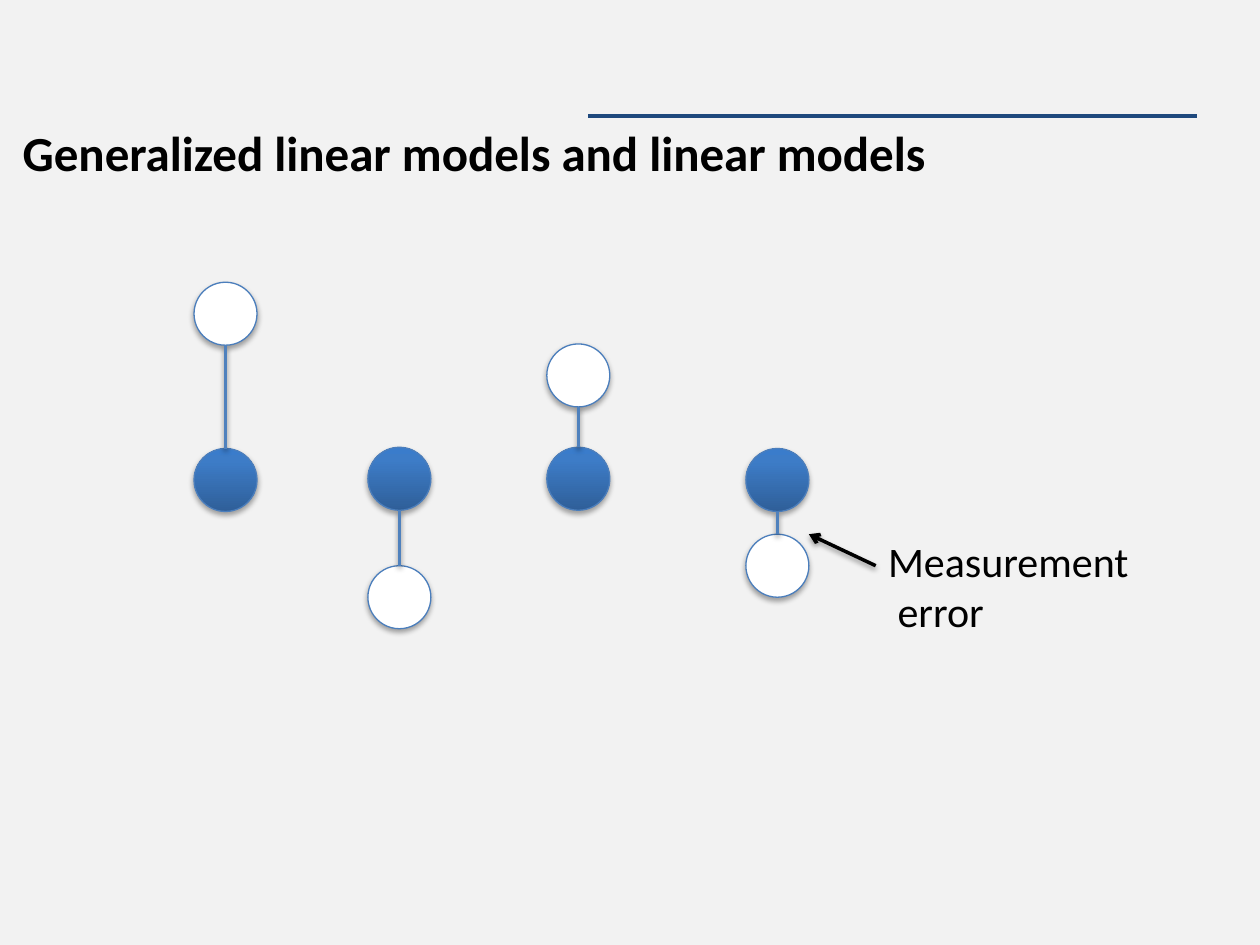
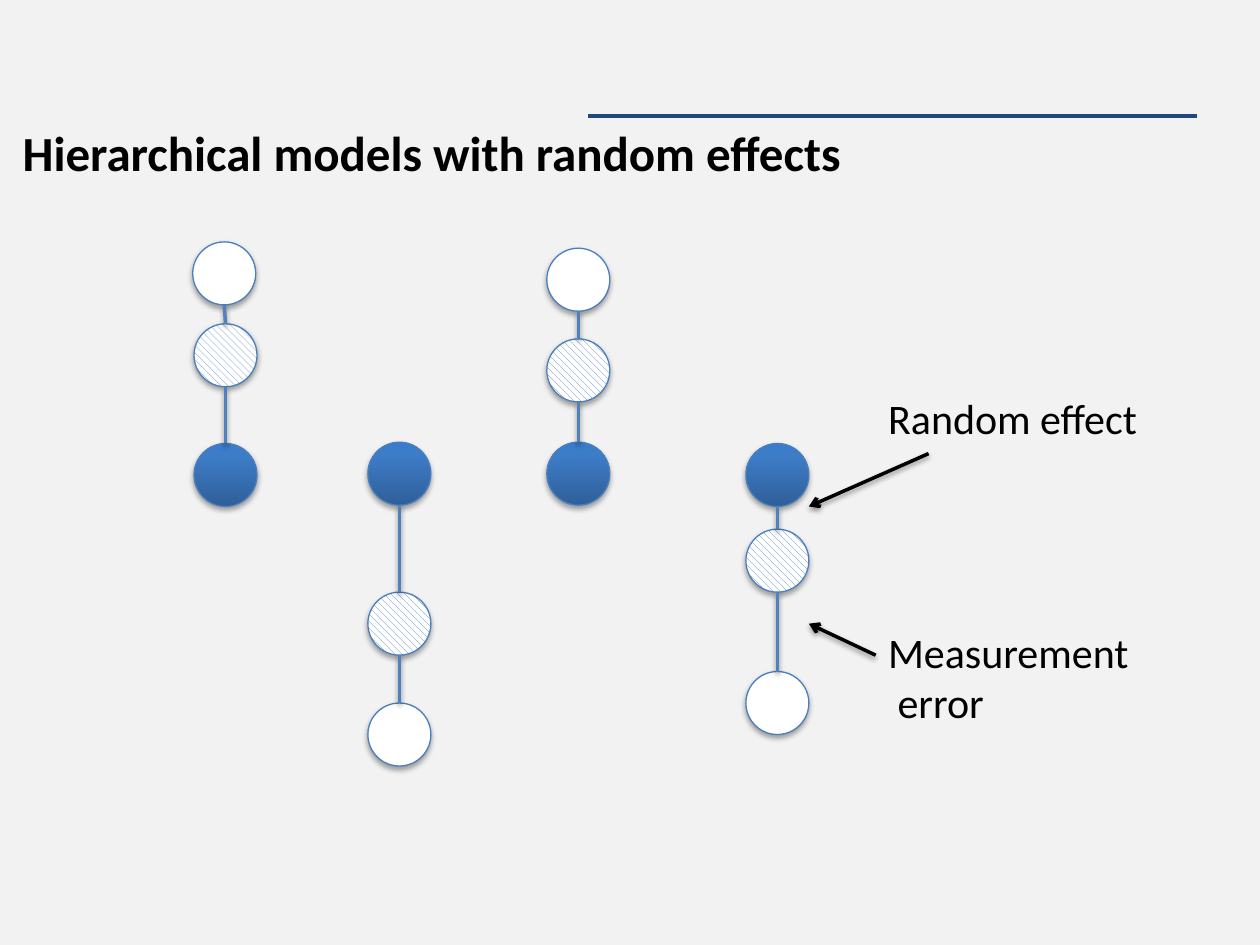
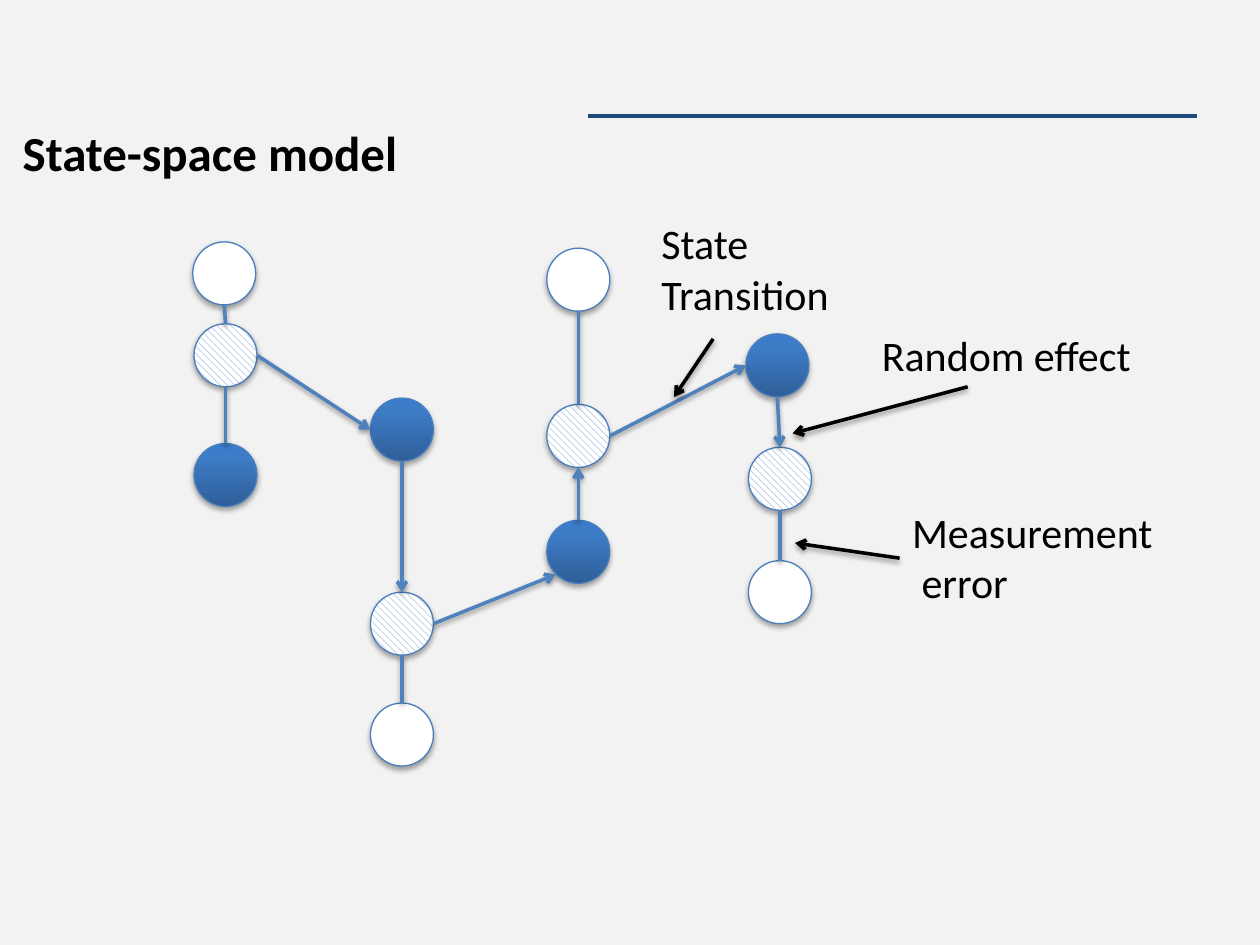
from dataclasses import dataclass
from enum import Enum
from itertools import pairwise

from lxml.etree import SubElement
from pptx import Presentation
from pptx.dml.color import RGBColor
from pptx.enum.dml import MSO_PATTERN
from pptx.enum.shapes import MSO_CONNECTOR, MSO_SHAPE
from pptx.enum.text import MSO_ANCHOR, MSO_AUTO_SIZE, PP_ALIGN
from pptx.oxml.ns import qn
from pptx.shapes.connector import Connector
from pptx.slide import Slide
from pptx.util import Inches, Pt

FONT = "Calibri"
COLORS = {
    "background": "F2F2F2",
    "rule": "1F497D",
    "text": "000000",
    "link": "4F81BD",
    "outline": "4B7EBC",
    "white": "FFFFFF",
    "shadow": "000000",
}
GRADIENT = ((0, "2F5F99"), (80, "3D7CC7"), (100, "3A7CCB"))
DIAMETER = 0.5
RADIUS = DIAMETER / 2

Point = tuple[float, float]


class Kind(Enum):
    PREDICTED = 1
    LATENT = 2
    OBSERVED = 3


class Flow(Enum):
    NONE = 0
    DOWN = 1
    UP = 2


@dataclass(frozen=True)
class Node:
    """A circle; flow is the direction of its link to the node below."""
    kind: Kind
    x: float
    y: float
    flow: Flow = Flow.NONE

    @property
    def top(self) -> Point:
        return self.x + RADIUS, self.y

    @property
    def bottom(self) -> Point:
        return self.x + RADIUS, self.y + DIAMETER

    @property
    def left(self) -> Point:
        return self.x, self.y + RADIUS

    @property
    def right(self) -> Point:
        return self.x + DIAMETER, self.y + RADIUS


@dataclass(frozen=True)
class Label:
    lines: tuple[str, ...]
    x: float
    y: float
    width: float
    start: Point
    end: Point

    @property
    def height(self) -> float:
        return 0.1 + 0.4 * len(self.lines)


@dataclass(frozen=True)
class Diagram:
    title: str
    columns: tuple[tuple[Node, ...], ...]
    labels: tuple[Label, ...]
    transitions: tuple[tuple[Point, Point], ...] = ()


def color(name: str) -> RGBColor:
    return RGBColor.from_string(COLORS[name])


def add_shadow(shape, alpha: int, distance: float) -> None:
    effects = SubElement(shape.element.spPr, qn("a:effectLst"))
    shadow = SubElement(effects, qn("a:outerShdw"), blurRad=str(Pt(3.1)),
                        dist=str(Pt(distance)), dir="5400000", rotWithShape="0")
    tone = SubElement(shadow, qn("a:srgbClr"), val=COLORS["shadow"])
    SubElement(tone, qn("a:alpha"), val=str(alpha * 1000))


def add_line(slide: Slide, start: Point, end: Point, name: str,
             arrow: bool = False, shadow: bool = True) -> Connector:
    ends = (Inches(v) for v in (*start, *end))
    line = slide.shapes.add_connector(MSO_CONNECTOR.STRAIGHT, *ends)
    line.line.color.rgb = color(name)
    line.line.width = Pt(2)
    if arrow:
        SubElement(line.element.spPr.find(qn("a:ln")), qn("a:tailEnd"), type="arrow")
    if shadow:
        add_shadow(line, 38, 1.6)
    else:
        SubElement(line.element.spPr, qn("a:effectLst"))
    return line


def fill_gradient(sp) -> None:
    """Shade from dark at the bottom to light at the top, with three stops."""
    sp.fill.gradient()
    sp.fill.gradient_angle = 90
    stops = sp.element.spPr.find(qn("a:gradFill")).find(qn("a:gsLst"))
    stops.clear()
    for position, value in GRADIENT:
        stop = SubElement(stops, qn("a:gs"), pos=str(position * 1000))
        SubElement(stop, qn("a:srgbClr"), val=value)


def add_node(slide: Slide, node: Node) -> None:
    sp = slide.shapes.add_shape(MSO_SHAPE.OVAL, Inches(node.x), Inches(node.y),
                                Inches(DIAMETER), Inches(DIAMETER))
    if node.kind is Kind.PREDICTED:
        fill_gradient(sp)
    elif node.kind is Kind.LATENT:
        sp.fill.patterned()
        sp.fill.pattern = MSO_PATTERN.WIDE_DOWNWARD_DIAGONAL
        sp.fill.fore_color.rgb = color("link")
        sp.fill.back_color.rgb = color("white")
    else:
        sp.fill.solid()
        sp.fill.fore_color.rgb = color("white")
    sp.line.color.rgb = color("outline")
    sp.line.width = Pt(0.75)
    add_shadow(sp, 35, 1.8)


def add_run(p, text: str, size: int, bold: bool = False) -> None:
    r = p.add_run()
    r.text = text
    r.font.name = FONT
    r.font.size = Pt(size)
    r.font.bold = bold
    r.font.color.rgb = color("text")


def add_label(slide: Slide, label: Label) -> None:
    box = slide.shapes.add_textbox(Inches(label.x), Inches(label.y),
                                   Inches(label.width), Inches(label.height))
    tf = box.text_frame
    tf.word_wrap = False
    tf.auto_size = MSO_AUTO_SIZE.SHAPE_TO_FIT_TEXT
    for i, text in enumerate(label.lines):
        p = tf.add_paragraph() if i else tf.paragraphs[0]
        add_run(p, text, 24)
    add_line(slide, label.start, label.end, "text", arrow=True)


def set_title(slide: Slide, text: str) -> None:
    title = slide.shapes.title
    title.left, title.top = Inches(0.08), Inches(0.92)
    title.width, title.height = Inches(9.83), Inches(6.5)
    tf = title.text_frame
    tf.vertical_anchor = MSO_ANCHOR.TOP
    p = tf.paragraphs[0]
    p.alignment = PP_ALIGN.LEFT
    p.space_before = p.space_after = Pt(6)
    add_run(p, text, 28, bold=True)


def add_diagram(slide: Slide, diagram: Diagram) -> None:
    set_title(slide, diagram.title)
    for column in diagram.columns:
        for node in column:
            add_node(slide, node)
    for column in diagram.columns:
        for upper, lower in pairwise(column):
            start, end = upper.bottom, lower.top
            if upper.flow is Flow.UP:
                start, end = end, start
            add_line(slide, start, end, "link", arrow=upper.flow is not Flow.NONE)
    for start, end in diagram.transitions:
        add_line(slide, start, end, "link", arrow=True)
    for label in diagram.labels:
        add_label(slide, label)


def measurement_error(x: float, y: float, start: Point, end: Point) -> Label:
    return Label(("Measurement", " error"), x, y, 2.26, start, end)


def random_effect(x: float, y: float, start: Point, end: Point) -> Label:
    return Label(("Random effect",), x, y, 2.39, start, end)


PREDICTED, LATENT, OBSERVED = Kind
X1, X2, X3, X4 = 1.54, 2.92, 4.34, 5.92

FIRST_COLUMN = (Node(OBSERVED, 1.53, 1.92), Node(LATENT, X1, 2.57),
                Node(PREDICTED, X1, 3.52))

LINEAR = Diagram(
    "Generalized linear models and linear models",
    (
        (Node(OBSERVED, X1, 2.24), Node(PREDICTED, X1, 3.56)),
        (Node(PREDICTED, X2, 3.55), Node(OBSERVED, X2, 4.49)),
        (Node(OBSERVED, X3, 2.73), Node(PREDICTED, X3, 3.55)),
        (Node(PREDICTED, X4, 3.56), Node(OBSERVED, X4, 4.24)),
    ),
    (measurement_error(6.95, 4.2, (6.95, 4.49), (6.42, 4.24)),),
)

HIERARCHICAL = Diagram(
    "Hierarchical models with random effects",
    (
        FIRST_COLUMN,
        (Node(PREDICTED, X2, 3.51), Node(LATENT, X2, 4.7), Node(OBSERVED, X2, 5.58)),
        (Node(OBSERVED, X3, 1.97), Node(LATENT, X3, 2.69), Node(PREDICTED, X3, 3.51)),
        (Node(PREDICTED, X4, 3.52), Node(LATENT, X4, 4.2), Node(OBSERVED, X4, 5.33)),
    ),
    (
        measurement_error(6.95, 4.92, (6.95, 5.2), (6.42, 4.95)),
        random_effect(6.95, 3.07, (7.37, 3.6), (6.42, 4.02)),
    ),
)

SECOND_COLUMN = (Node(PREDICTED, 2.94, 3.16, Flow.DOWN), Node(LATENT, 2.94, 4.7),
                 Node(OBSERVED, 2.94, 5.58))
THIRD_COLUMN = (Node(OBSERVED, X3, 1.97), Node(LATENT, X3, 3.21, Flow.UP),
                Node(PREDICTED, X3, 4.13))
FOURTH_COLUMN = (Node(PREDICTED, X4, 2.65, Flow.DOWN), Node(LATENT, 5.94, 3.55),
                 Node(OBSERVED, 5.94, 4.45))

STATE_SPACE = Diagram(
    "State-space model",
    (FIRST_COLUMN, SECOND_COLUMN, THIRD_COLUMN, FOURTH_COLUMN),
    (
        measurement_error(7.14, 3.97, (7.14, 4.43), (6.31, 4.31)),
        random_effect(6.9, 2.57, (7.68, 3.07), (6.29, 3.44)),
        Label(("State", "Transition"), 5.15, 1.68, 1.57, (5.66, 2.69), (5.35, 3.15)),
    ),
    (
        (FIRST_COLUMN[1].right, SECOND_COLUMN[0].left),
        (SECOND_COLUMN[1].right, (4.41, 4.56)),
        (THIRD_COLUMN[1].right, FOURTH_COLUMN[0].left),
    ),
)


def main() -> None:
    prs = Presentation()
    prs.slide_width, prs.slide_height = Inches(10), Inches(7.5)
    background = prs.slide_master.background.fill
    background.solid()
    background.fore_color.rgb = color("background")
    layout = prs.slide_layouts.get_by_name("Title Only")

    for i, diagram in enumerate((LINEAR, HIERARCHICAL, STATE_SPACE)):
        slide = prs.slides.add_slide(layout)
        if i == 0:
            # The rule belongs to the layout, so all slides share it.
            rule = add_line(slide, (4.67, 0.92), (9.5, 0.92), "rule", shadow=False)
            rule.element.nvCxnSpPr.cNvPr.set("id", "20")
            layout.shapes.element.append(rule.element)
        add_diagram(slide, diagram)
    prs.save("out.pptx")


if __name__ == "__main__":
    main()
